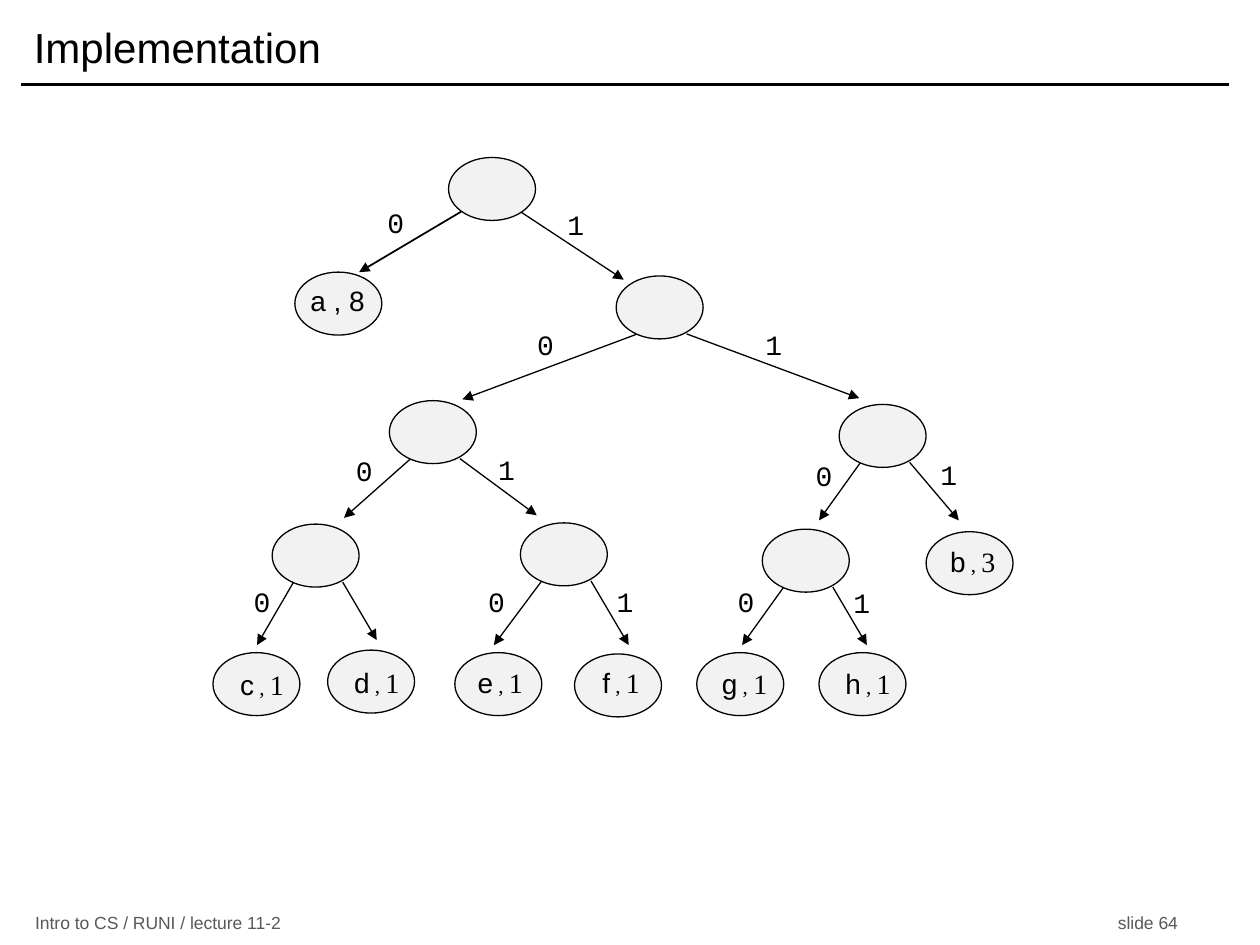
"""Build a slide that shows a prefix-code tree with its leaf counts."""
import dataclasses
import typing

import pptx
import pptx.dml.color
import pptx.enum.shapes
import pptx.enum.text
import pptx.oxml
import pptx.oxml.ns
import pptx.util

Inches = pptx.util.Inches
Pt = pptx.util.Pt
Align = pptx.enum.text.PP_ALIGN


@dataclasses.dataclass(frozen=True)
class Theme:
    ink: str = "000000"
    grey: str = "595959"
    fill: str = "F2F2F2"
    sans: str = "Arial"
    serif: str = "Times New Roman"
    mono: str = "Courier New"
    title: int = 24
    text: int = 16
    comma: int = 12
    foot: int = 10
    rule: float = 2
    thin: float = 0.75
    bold: float = 1
    node_w: float = 0.69
    node_h: float = 0.5
    text_h: float = 0.37
    bit_w: float = 0.32


THEME = Theme()


class Node(typing.NamedTuple):
    left: float
    top: float
    inset: float = 0.17
    gap: float = 0.39
    drop: float = 0.46


class Edge(typing.NamedTuple):
    start: Node
    bit: int
    tip: tuple[float, float]
    mark: tuple[float, float] | None
    width: float = THEME.thin


class Leaf(typing.NamedTuple):
    node: Node
    words: tuple[str, ...]
    mid: float
    top: float
    width: float = 0.56


ROOT = Node(3.56, 1.25, 0.1, 0.47, 0.43)
N1 = Node(4.89, 2.19)
N10 = Node(3.09, 3.18)
N11 = Node(6.66, 3.21)
N100 = Node(2.16, 4.16)
N101 = Node(4.13, 4.15)
N110 = Node(6.05, 4.2)
INNER = (ROOT, N1, N10, N11, N100, N101, N110)

EDGES = (
    Edge(ROOT, 0, (2.85, 2.16), (2.98, 1.58), THEME.bold),
    Edge(ROOT, 1, (4.95, 2.22), (4.41, 1.6)),
    Edge(N1, 0, (3.67, 3.17), (4.17, 2.55)),
    Edge(N1, 1, (6.82, 3.16), (5.98, 2.55)),
    Edge(N10, 0, (2.73, 4.11), (2.73, 3.55)),
    Edge(N10, 1, (4.26, 4.09), (3.86, 3.54)),
    Edge(N11, 0, (6.5, 4.13), (6.38, 3.59)),
    Edge(N11, 1, (7.61, 4.13), (7.37, 3.58)),
    Edge(N100, 0, (2.04, 5.12), (1.92, 4.59)),
    Edge(N100, 1, (2.99, 5.08), None),
    Edge(N101, 0, (3.92, 5.12), (3.78, 4.59)),
    Edge(N101, 1, (4.99, 5.12), (4.8, 4.59)),
    Edge(N110, 0, (5.89, 5.12), (5.76, 4.59)),
    Edge(N110, 1, (6.88, 5.12), (6.68, 4.6)),
)

LEAVES = (
    Leaf(Node(2.34, 2.16), ("a , 8",), 2.68, 2.2, 0.64),
    Leaf(Node(7.35, 4.22), ("b", " , ", "3"), 7.72, 4.27),
    Leaf(Node(1.69, 5.18), ("c", " , ", "1"), 2.08, 5.25),
    Leaf(Node(2.6, 5.16), ("d", " , ", "1"), 2.99, 5.23),
    Leaf(Node(3.61, 5.18), ("e", " , ", "1"), 3.97, 5.23),
    Leaf(Node(4.56, 5.19), ("f", " , ", "1"), 4.93, 5.23, 0.5),
    Leaf(Node(5.53, 5.18), ("g", " , ", "1"), 5.91, 5.24),
    Leaf(Node(6.5, 5.18), ("h", " , ", "1"), 6.89, 5.24),
)


def tint(code: str) -> pptx.dml.color.RGBColor:
    return pptx.dml.color.RGBColor.from_string(code)


def style(run, size: float, face: str, code: str = THEME.ink) -> None:
    run.font.size = Pt(size)
    run.font.name = face
    run.font.color.rgb = tint(code)


def add_text(slide, box: tuple[float, ...], text: str, size: float, face: str,
             code: str = THEME.ink, align=Align.LEFT, wrap: bool = True,
             side: float = 0.1, middle: bool = False):
    frame = slide.shapes.add_textbox(*map(Inches, box)).text_frame
    frame.word_wrap = wrap
    frame.margin_left = frame.margin_right = Inches(side)
    if middle:
        frame.vertical_anchor = pptx.enum.text.MSO_ANCHOR.MIDDLE
    frame.text = text
    line = frame.paragraphs[0]
    line.alignment = align
    style(line.runs[0], size, face, code)
    return line


def add_line(slide, start: tuple[float, float], end: tuple[float, float],
             width: float, arrow: bool = False) -> None:
    line = slide.shapes.add_connector(
        pptx.enum.shapes.MSO_CONNECTOR.STRAIGHT, *map(Inches, (*start, *end)))
    line.line.color.rgb = tint(THEME.ink)
    line.line.width = Pt(width)
    props = line._element.spPr
    if arrow:
        head = pptx.oxml.parse_xml(
            f'<a:tailEnd {pptx.oxml.ns.nsdecls("a")} type="triangle"/>')
        props.get_or_add_ln().append(head)
    props.append(props.makeelement(pptx.oxml.ns.qn("a:effectLst"), {}))


def add_node(slide, node: Node) -> None:
    oval = slide.shapes.add_shape(
        pptx.enum.shapes.MSO_SHAPE.OVAL,
        *map(Inches, (node.left, node.top, THEME.node_w, THEME.node_h)))
    oval.shadow.inherit = False
    oval.fill.solid()
    oval.fill.fore_color.rgb = tint(THEME.fill)
    oval.line.color.rgb = tint(THEME.ink)
    oval.line.width = Pt(THEME.thin)


def add_edge(slide, edge: Edge) -> None:
    node = edge.start
    start = (node.left + node.inset + edge.bit * node.gap, node.top + node.drop)
    add_line(slide, start, edge.tip, edge.width, arrow=True)
    if edge.mark:
        add_text(slide, (*edge.mark, THEME.bit_w, THEME.text_h), str(edge.bit),
                 THEME.text, THEME.mono, align=Align.CENTER, side=0)


def add_leaf(slide, leaf: Leaf) -> None:
    add_node(slide, leaf.node)
    box = (leaf.mid - leaf.width / 2, leaf.top, leaf.width, THEME.text_h)
    line = add_text(slide, box, leaf.words[0], THEME.text, THEME.sans,
                    align=Align.CENTER, wrap=False)
    for word, size in zip(leaf.words[1:], (THEME.comma, THEME.text)):
        run = line.add_run()
        run.text = word
        style(run, size, THEME.serif)


def add_frame(slide) -> None:
    add_line(slide, (0.17, 0.67), (9.75, 0.67), THEME.rule)
    add_text(slide, (0.17, 0.08, 9.58, 0.58), "Implementation", THEME.title,
             THEME.sans, middle=True)
    foot = add_text(slide, (0.18, 7.23, 9.42, 0.19),
                    "Intro to CS / RUNI / lecture 11-2\tslide 64", THEME.foot,
                    THEME.sans, THEME.grey, middle=True)
    tabs = pptx.oxml.parse_xml(
        f'<a:tabLst {pptx.oxml.ns.nsdecls("a")}>'
        f'<a:tab pos="{Inches(9.07)}" algn="r"/></a:tabLst>')
    foot._p.get_or_add_pPr().append(tabs)


def main() -> None:
    deck = pptx.Presentation()
    deck.slide_width, deck.slide_height = Inches(10), Inches(7.5)
    slide = deck.slides.add_slide(deck.slide_layouts[6])
    add_frame(slide)
    for edge in EDGES:
        add_edge(slide, edge)
    for node in INNER:
        add_node(slide, node)
    for leaf in LEAVES:
        add_leaf(slide, leaf)
    deck.save("out.pptx")


if __name__ == "__main__":
    main()
